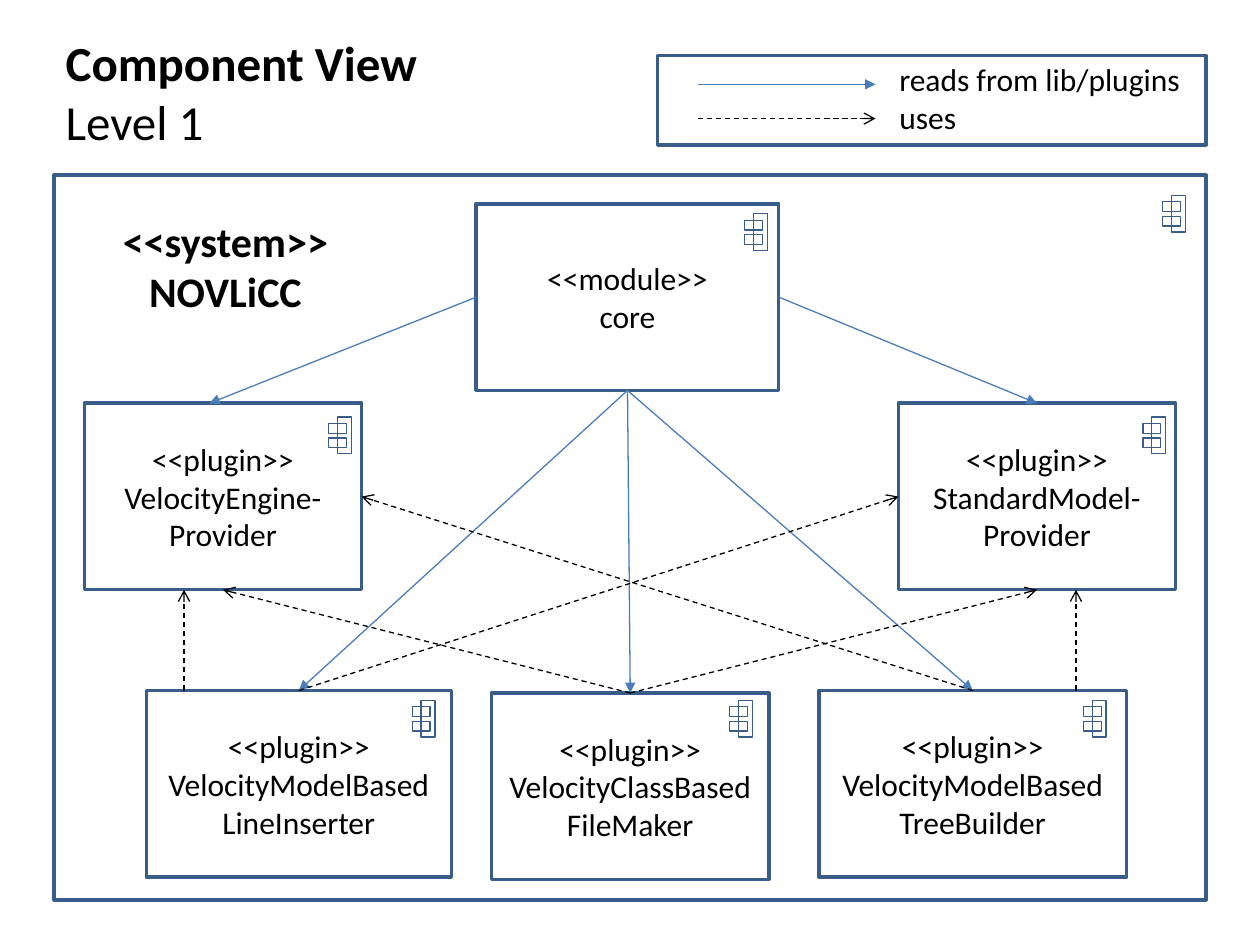
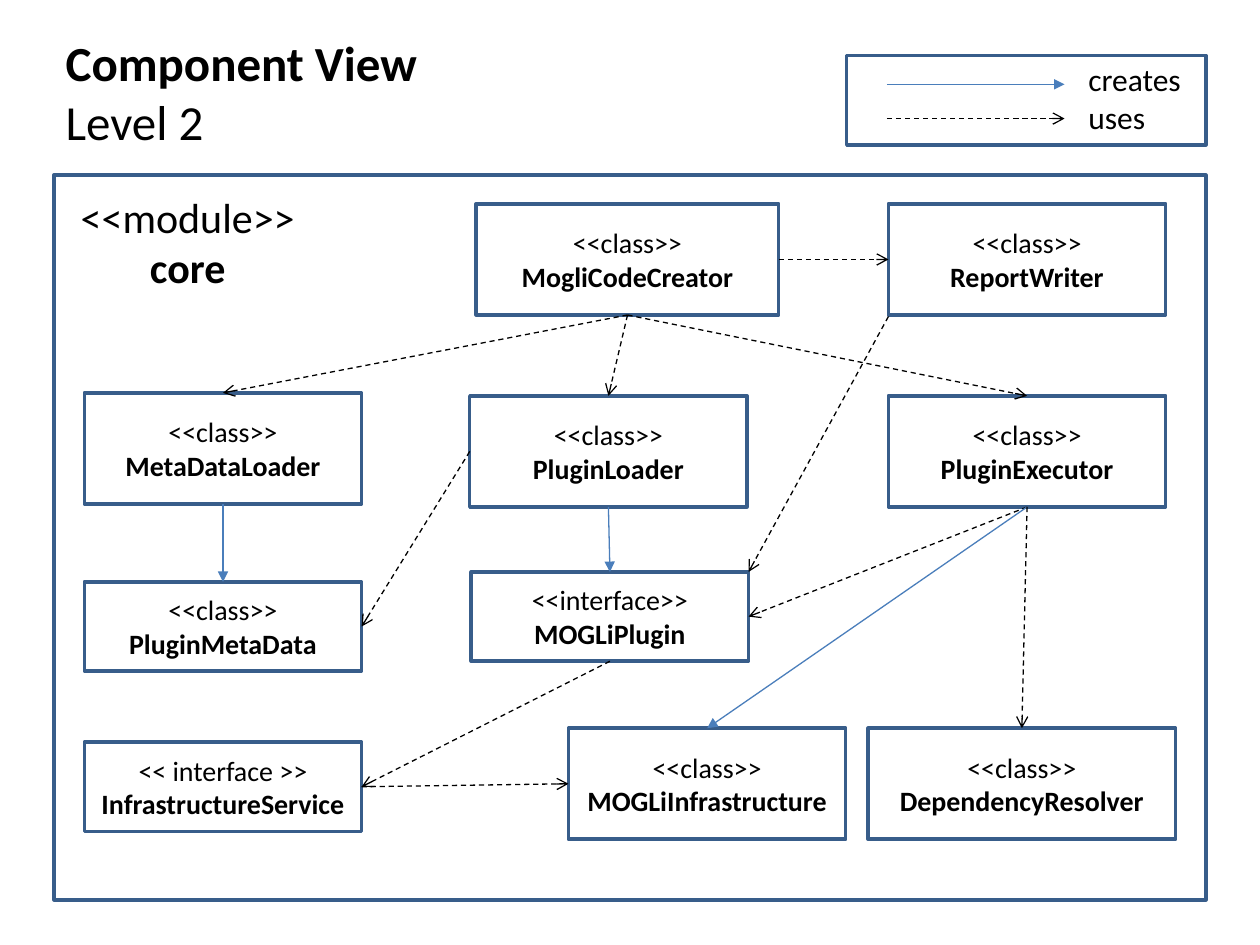
from dataclasses import dataclass
from enum import IntEnum
from typing import NamedTuple, Optional, Union

from lxml import etree
from pptx import Presentation
from pptx import util as u
from pptx.dml.color import RGBColor
from pptx.enum import dml, shapes, text
from pptx.oxml import ns

BORDER = RGBColor(0x38, 0x5D, 0x8A)
ARROW_BLUE = RGBColor(0x4A, 0x7E, 0xBB)
BLACK = RGBColor(0, 0, 0)
FONT = "Calibri"
THICK, THIN = 2, 0.75
TITLE_SIZE, HEADING_SIZE, LEGEND_SIZE = 28, 24, 18
WIDE, HIGH = 5.59, 3.76  # usual component width and height
CLASS_HIGH, LOW = 2.24, 1.8  # class height, interface height


class Side(IntEnum):
    TOP = 0
    LEFT = 1
    BOTTOM = 2
    RIGHT = 3


class Area(NamedTuple):
    """Left, top, width and height in centimetres."""
    x: float
    y: float
    width: float
    height: float


class Point(NamedTuple):
    x: float
    y: float


class Joint(NamedTuple):
    """Middle of one side of a named component."""
    name: str
    side: Side


class Span(NamedTuple):
    text: str
    bold: bool = False


class ArrowStyle(NamedTuple):
    color: RGBColor
    head: str
    dashed: bool


SOLID = ArrowStyle(ARROW_BLUE, "triangle", False)
USES = ArrowStyle(BLACK, "arrow", True)


@dataclass(frozen=True)
class Component:
    stereotype: str
    names: tuple[str, ...]
    area: Area
    icon: Optional[Point] = None  # offset from the top right corner


@dataclass(frozen=True)
class Link:
    start: Union[Joint, Point]
    end: Union[Joint, Point]
    style: ArrowStyle = USES


@dataclass(frozen=True)
class Diagram:
    level: str
    heading: tuple[Span, ...]
    heading_area: Area
    legend_left: float
    solid_meaning: str
    text_size: int
    bold_names: bool
    components: tuple[Component, ...]
    links: tuple[Link, ...]
    frame_icon: Optional[Point] = None


FRAME = Area(1.09, 3.53, 23.22, 14.61)
FRAME_RIGHT = FRAME.x + FRAME.width

ENGINE, MODEL = "VelocityEngine-Provider", "StandardModel-Provider"
INSERTER = "VelocityModelBasedLineInserter"
MAKER = "VelocityClassBasedFileMaker"
BUILDER = "VelocityModelBasedTreeBuilder"

LEVEL_1 = Diagram(
    level="Level 1",
    heading=(Span("<<system>>", True), Span("NOVLiCC", True)),
    heading_area=Area(2.21, 4.22, 4.67, 2.29),
    legend_left=13.26,
    solid_meaning="reads from lib/plugins",
    text_size=18,
    bold_names=False,
    frame_icon=Point(0.69, 0.41),
    components=(
        Component("<<module>>", ("core",), Area(9.6, 4.11, 6.1, HIGH), Point(0.51, 0.2)),
        Component("<<plugin>>", (ENGINE,), Area(1.7, 8.13, WIDE, HIGH), Point(0.48, 0.28)),
        Component("<<plugin>>", (MODEL,), Area(18.11, 8.13, WIDE, HIGH), Point(0.48, 0.28)),
        Component("<<plugin>>", ("VelocityModelBased", "LineInserter"),
                  Area(2.95, 13.92, 6.15, HIGH), Point(0.61, 0.2)),
        Component("<<plugin>>", ("VelocityClassBased", "FileMaker"),
                  Area(9.91, 13.97, WIDE, HIGH), Point(0.61, 0.15)),
        Component("<<plugin>>", ("VelocityModelBased", "TreeBuilder"),
                  Area(16.51, 13.92, 6.2, HIGH), Point(0.69, 0.2)),
    ),
    links=(
        Link(Joint("core", Side.LEFT), Point(4.22, 8.13), SOLID),
        Link(Joint("core", Side.RIGHT), Joint(MODEL, Side.TOP), SOLID),
        *(Link(Joint("core", Side.BOTTOM), Joint(name, Side.TOP), SOLID)
          for name in (INSERTER, MAKER, BUILDER)),
        *(Link(Point(x, 13.92), Point(x, 11.89)) for x in (3.71, 21.69)),
        *(Link(Joint(MAKER, Side.TOP), Joint(name, Side.BOTTOM)) for name in (ENGINE, MODEL)),
        Link(Joint(INSERTER, Side.TOP), Joint(MODEL, Side.LEFT)),
        Link(Joint(BUILDER, Side.TOP), Joint(ENGINE, Side.RIGHT)),
    ),
)

LEVEL_2 = Diagram(
    level="Level 2",
    heading=(Span("<<module>>"), Span("core", True)),
    heading_area=Area(1.37, 3.73, 4.83, 2.29),
    legend_left=17.07,
    solid_meaning="creates",
    text_size=16,
    bold_names=True,
    components=(
        Component("<<class>>", ("MogliCodeCreator",), Area(9.6, 4.11, 6.1, CLASS_HIGH)),
        Component("<<class>>", ("ReportWriter",), Area(17.91, 4.11, WIDE, CLASS_HIGH)),
        Component("<<class>>", ("MetaDataLoader",), Area(1.7, 7.92, WIDE, CLASS_HIGH)),
        Component("<<class>>", ("PluginLoader",), Area(9.47, 7.98, WIDE, CLASS_HIGH)),
        Component("<<class>>", ("PluginExecutor",), Area(17.91, 7.98, WIDE, CLASS_HIGH)),
        Component("<<class>>", ("PluginMetaData",), Area(1.7, 11.73, WIDE, LOW)),
        Component("<<interface>>", ("MOGLiPlugin",), Area(9.5, 11.53, WIDE, LOW)),
        Component("<< interface >>", ("InfrastructureService",), Area(1.7, 14.96, WIDE, LOW)),
        Component("<<class>>", ("MOGLiInfrastructure",), Area(11.46, 14.68, WIDE, CLASS_HIGH)),
        Component("<<class>>", ("DependencyResolver",), Area(17.5, 14.68, 6.2, CLASS_HIGH)),
    ),
    links=(
        *(Link(Joint("MogliCodeCreator", Side.BOTTOM), Joint(name, Side.TOP))
          for name in ("MetaDataLoader", "PluginLoader", "PluginExecutor")),
        Link(Joint("MogliCodeCreator", Side.RIGHT), Joint("ReportWriter", Side.LEFT)),
        Link(Point(17.91, 6.38), Point(15.09, 11.53)),
        Link(Joint("MetaDataLoader", Side.BOTTOM), Joint("PluginMetaData", Side.TOP), SOLID),
        Link(Joint("PluginLoader", Side.LEFT), Joint("PluginMetaData", Side.RIGHT)),
        Link(Joint("PluginLoader", Side.BOTTOM), Joint("MOGLiPlugin", Side.TOP), SOLID),
        Link(Joint("PluginExecutor", Side.BOTTOM), Joint("MOGLiPlugin", Side.RIGHT)),
        Link(Joint("PluginExecutor", Side.BOTTOM), Joint("MOGLiInfrastructure", Side.TOP), SOLID),
        Link(Joint("PluginExecutor", Side.BOTTOM), Joint("DependencyResolver", Side.TOP)),
        Link(Joint("MOGLiPlugin", Side.BOTTOM), Joint("InfrastructureService", Side.RIGHT)),
        Link(Joint("InfrastructureService", Side.RIGHT), Joint("MOGLiInfrastructure", Side.LEFT)),
    ),
)


def lengths(values: tuple[float, ...]) -> list[u.Cm]:
    return [u.Cm(value) for value in values]


def write_lines(frame, spans: tuple[Span, ...], size: int, align=text.PP_ALIGN.CENTER) -> None:
    """Write each span as a paragraph of its own."""
    for index, part in enumerate(spans):
        para = frame.paragraphs[0] if index == 0 else frame.add_paragraph()
        para.alignment = align
        span = para.add_run()
        span.text = part.text
        span.font.name = FONT
        span.font.size = u.Pt(size)
        span.font.bold = part.bold
        span.font.color.rgb = BLACK


def add_title(page, level: str) -> None:
    box = page.shapes.title
    box.left, box.top, box.width, box.height = lengths((1.07, 0.53, 7.59, 2.64))
    frame = box.text_frame
    frame.auto_size = text.MSO_AUTO_SIZE.NONE
    frame.word_wrap = False
    frame.vertical_anchor = text.MSO_ANCHOR.TOP
    write_lines(frame, (Span("Component View", True), Span(level)), TITLE_SIZE,
                text.PP_ALIGN.LEFT)


def add_outline(parent, area: Area, weight: float = THICK):
    box = parent.shapes.add_shape(shapes.MSO_SHAPE.RECTANGLE, *lengths(area))
    box.shadow.inherit = False
    box.fill.background()
    box.line.color.rgb = BORDER
    box.line.width = u.Pt(weight)
    return box


def add_label(page, area: Area, spans: tuple[Span, ...], size: int, align) -> None:
    box = page.shapes.add_textbox(*lengths(area))
    box.text_frame.word_wrap = False
    write_lines(box.text_frame, spans, size, align)


def add_icon(page, area: Area, offset: Point) -> None:
    """Draw the component symbol near the top right corner of an area."""
    x, y = area.x + area.width - offset.x, area.y + offset.y
    icon = page.shapes.add_group_shape()
    add_outline(icon, Area(x, y, 0.28, 0.74), THIN)
    for drop in (0.13, 0.42):
        add_outline(icon, Area(x - 0.18, y + drop, 0.36, 0.2), THIN)


def add_component(page, component: Component, size: int, bold: bool):
    box = add_outline(page, component.area)
    frame = box.text_frame
    frame.word_wrap = True
    frame.vertical_anchor = text.MSO_ANCHOR.MIDDLE
    names = tuple(Span(name, bold) for name in component.names)
    write_lines(frame, (Span(component.stereotype), *names), size)
    if component.icon:
        add_icon(page, component.area, component.icon)
    return box


def add_arrow(page, link: Link, boxes: dict) -> None:
    ends = [end if isinstance(end, Point) else Point(0, 0) for end in (link.start, link.end)]
    arrow = page.shapes.add_connector(shapes.MSO_CONNECTOR.STRAIGHT,
                                      *lengths(ends[0] + ends[1]))
    for end, connect in ((link.start, arrow.begin_connect), (link.end, arrow.end_connect)):
        if isinstance(end, Joint):
            connect(boxes[end.name], int(end.side))
    arrow.line.color.rgb = link.style.color
    arrow.line.width = u.Pt(THIN)
    if link.style.dashed:
        arrow.line.dash_style = dml.MSO_LINE.DASH
    properties = arrow._element.spPr
    outline = properties.find(ns.qn("a:ln"))
    etree.SubElement(outline, ns.qn("a:tailEnd"), type=link.style.head)
    etree.SubElement(properties, ns.qn("a:effectLst"))


def add_legend(page, left: float, solid_meaning: str) -> None:
    add_outline(page, Area(left, 1.12, FRAME_RIGHT - left, LOW))
    start = left + 0.81
    for y, style in ((1.7, SOLID), (2.39, USES)):
        add_arrow(page, Link(Point(start, y), Point(start + 3.58, y), style), {})
    label_left = left + 4.62
    add_label(page, Area(label_left, 1.09, FRAME_RIGHT - 0.25 - label_left, 1.78),
              (Span(solid_meaning), Span("uses")), LEGEND_SIZE, text.PP_ALIGN.LEFT)


def add_diagram(deck, diagram: Diagram) -> None:
    page = deck.slides.add_slide(deck.slide_layouts.get_by_name("Title Only"))
    add_title(page, diagram.level)
    add_legend(page, diagram.legend_left, diagram.solid_meaning)
    add_outline(page, FRAME)
    if diagram.frame_icon:
        add_icon(page, FRAME, diagram.frame_icon)
    add_label(page, diagram.heading_area, diagram.heading, HEADING_SIZE, text.PP_ALIGN.CENTER)
    boxes = {
        "".join(component.names):
            add_component(page, component, diagram.text_size, diagram.bold_names)
        for component in diagram.components
    }
    for link in diagram.links:
        add_arrow(page, link, boxes)


def main() -> None:
    deck = Presentation()
    deck.slide_width, deck.slide_height = lengths((25.4, 19.05))
    for diagram in (LEVEL_1, LEVEL_2):
        add_diagram(deck, diagram)
    deck.save("out.pptx")


if __name__ == "__main__":
    main()
